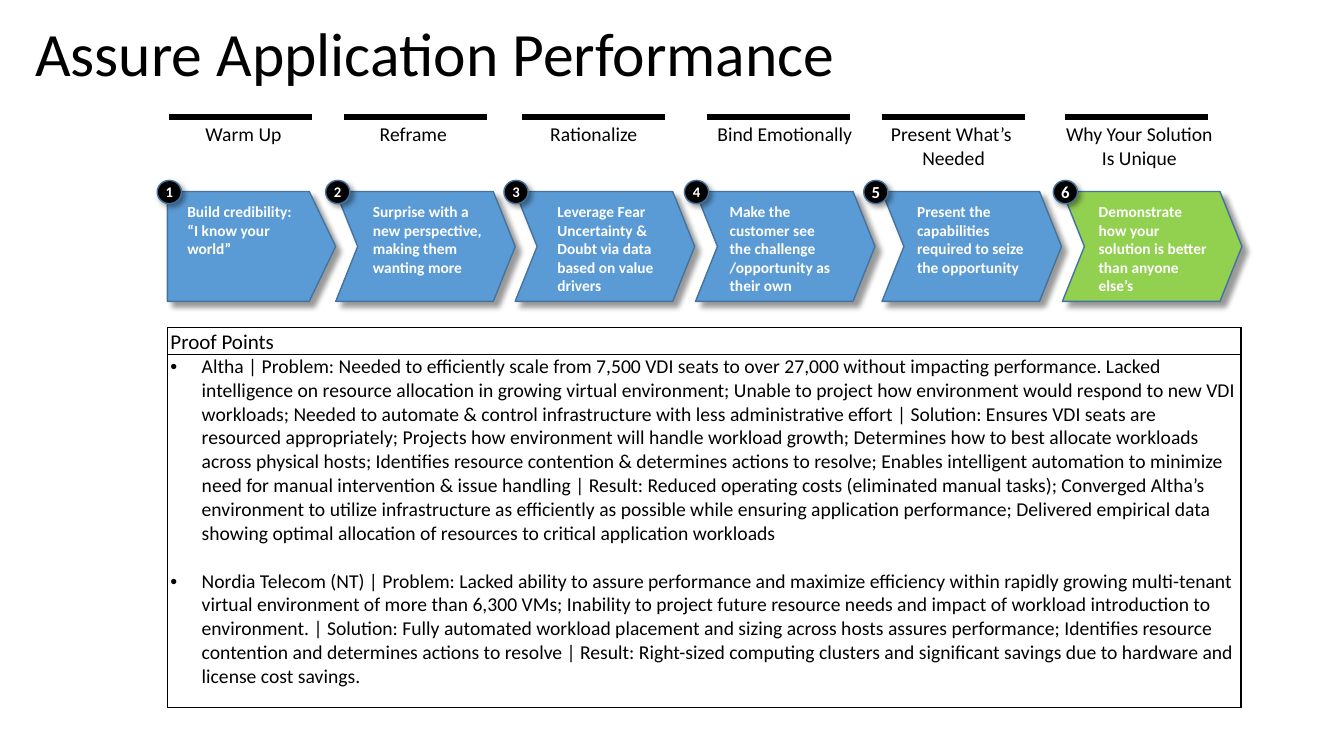
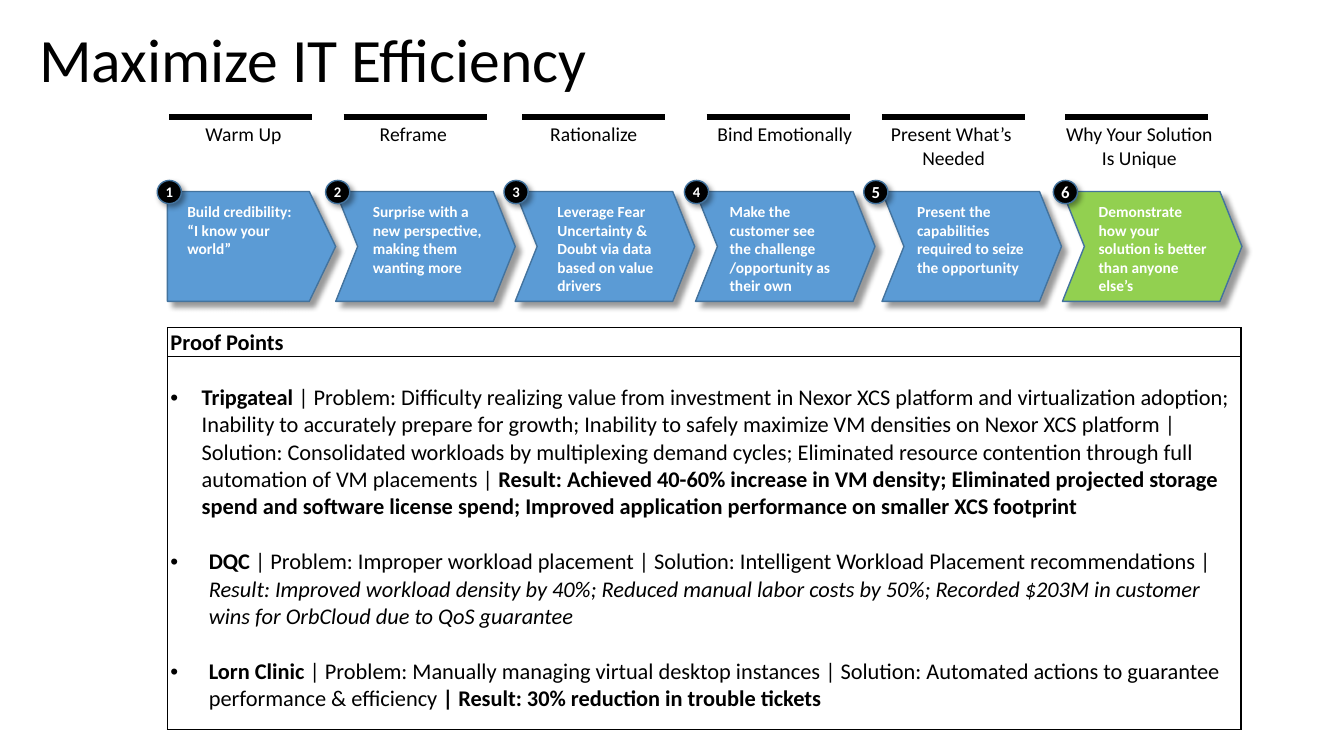
"""Builds two proof-point slides that share a six-stage sales story."""
from collections import namedtuple

from lxml import etree
from pptx import Presentation
from pptx.dml.color import RGBColor
from pptx.enum import shapes, text
from pptx.oxml.ns import qn
from pptx.util import Pt

FONT = "Calibri"
COLORS = {
    "black": "000000",
    "white": "FFFFFF",
    "blue": "5B9BD5",
    "green": "92D050",
    "outline": "43739E",
}
LEFT, ALIGN_CENTER = text.PP_ALIGN.LEFT, text.PP_ALIGN.CENTER
TOP, MIDDLE = text.MSO_ANCHOR.TOP, text.MSO_ANCHOR.MIDDLE
PLATE, CHEVRON = shapes.MSO_SHAPE.PENTAGON, shapes.MSO_SHAPE.CHEVRON
CELL_INSET = 2.2

Stage = namedtuple(
    "Stage",
    "heading heading_x heading_width bar_x arrow_x badge_x badge_size message message_x",
)
Proof = namedtuple("Proof", "indent runs")

STAGES = [
    Stage(["Warm Up"], 139.7, 69.1, 121, 119.6, 112.3, 10.5,
          ["Build credibility:", "“I know your world”"], 126.7),
    Stage(["Reframe"], 264.2, 62.6, 245.5, 239.8, 232.6, 10.5,
          ["Surprise with a new perspective, making them wanting more"], 259.2),
    Stage(["Rationalize"], 385.9, 77.8, 373, 368, 360, 10.5,
          ["Leverage Fear Uncertainty & Doubt via data based on value drivers"], 391),
    Stage(["Bind Emotionally"], 505.4, 112.3, 504.7, 496.8, 488.9, 10.5,
          ["Make the customer see the challenge", "/opportunity as their own"], 514.1),
    Stage(["Present What’s ", "Needed"], 628.6, 105.1, 630, 630, 617, 12,
          ["Present the capabilities required to seize the opportunity"], 648),
    Stage(["Why Your Solution", "Is Unique"], 753.8, 120.2, 761, 758.9, 752.4, 12,
          ["Demonstrate how your solution is better than anyone else’s"], 777.6),
]

PERFORMANCE_PROOFS = [
    Proof(22.3, [
        ("Altha | Problem: Needed to efficiently scale from 7,500 VDI seats to over 27,000 "
         "without impacting performance. Lacked intelligence on resource allocation in growing "
         "virtual environment; Unable to project how environment would respond to new VDI "
         "workloads; Needed to automate & control infrastructure with less administrative "
         "effort ", ""),
        ("| Solution: Ensures VDI seats are resourced appropriately; Projects how environment "
         "will handle workload growth; Determines how to best allocate workloads across "
         "physical hosts; Identifies resource contention & determines actions to resolve; "
         "Enables intelligent automation to minimize need for manual intervention & issue "
         "handling ", ""),
        ("| Result: Reduced operating costs (eliminated manual tasks); Converged Altha’s "
         "environment to utilize infrastructure as efficiently as possible while ensuring "
         "application performance; Delivered empirical data showing optimal allocation of "
         "resources to critical application workloads", "")]),
    Proof(22.3, [
        ("Nordia Telecom (NT) | Problem: Lacked ability to assure performance and maximize "
         "efficiency within rapidly growing multi-tenant virtual environment of more than "
         "6,300 VMs; Inability to project future resource needs and impact of workload "
         "introduction to environment. ", ""),
        ("| Solution: Fully automated workload placement and sizing across hosts assures "
         "performance; Identifies resource contention and determines actions to resolve ", ""),
        ("| Result: Right-sized computing clusters and significant savings due to hardware and "
         "license cost savings.", "")]),
]

EFFICIENCY_PROOFS = [
    Proof(22.3, [
        ("Tripgateal ", "b"),
        ("| Problem: Difficulty realizing value from investment in Nexor XCS platform and "
         "virtualization adoption; Inability to accurately prepare for growth; Inability to "
         "safely maximize VM densities on Nexor XCS platform | Solution: Consolidated workloads "
         "by multiplexing demand cycles; Eliminated resource contention through full automation "
         "of VM placements | ", ""),
        ("Result: Achieved 40-60% increase in VM density; Eliminated projected storage spend "
         "and software license spend; Improved application performance on smaller XCS "
         "footprint", "b")]),
    Proof(27.4, [
        ("DQC", "b"),
        (" | Problem: Improper workload placement | Solution: Intelligent Workload Placement "
         "recommendations | ", ""),
        ("Result: Improved workload density by 40%; Reduced manual labor costs by 50%; Recorded "
         "$203M in customer wins for OrbCloud due to QoS guarantee", "i")]),
    Proof(27.4, [
        ("Lorn Clinic ", "b"),
        ("| Problem: Manually managing virtual desktop instances | Solution: Automated actions "
         "to guarantee performance & efficiency ", ""),
        ("| Result: 30% reduction in trouble tickets", "b")]),
]


def rgb(color):
    """Return the named colour."""
    return RGBColor.from_string(COLORS[color])


def add_run(paragraph, words, size, color="black", style=""):
    """Append one run; style holds b for bold and i for italic."""
    run = paragraph.add_run()
    run.text = words
    run.font.name = FONT
    run.font.size = Pt(size)
    run.font.bold = "b" in style
    run.font.italic = "i" in style
    run.font.color.rgb = rgb(color)


def next_paragraph(frame, index):
    """Return the first paragraph of a frame, or a new one after it."""
    return frame.add_paragraph() if index else frame.paragraphs[0]


def add_label(slide, box, lines, size, color="black", style="", align=LEFT,
              anchor=TOP, wrap=True, line_spacing=None):
    """Add a text box with one paragraph for each line."""
    frame = slide.shapes.add_textbox(*map(Pt, box)).text_frame
    frame.word_wrap = wrap
    frame.vertical_anchor = anchor
    for index, line in enumerate(lines):
        paragraph = next_paragraph(frame, index)
        paragraph.alignment = align
        paragraph.line_spacing = line_spacing
        add_run(paragraph, line, size, color, style)


def add_shadowed(slide, kind, box, fill, distance):
    """Add an outlined shape that casts a soft shadow to the lower right."""
    shape = slide.shapes.add_shape(kind, *map(Pt, box))
    shape.fill.solid()
    shape.fill.fore_color.rgb = rgb(fill)
    shape.line.color.rgb = rgb("outline")
    shape.line.width = Pt(1)
    shape.shadow.inherit = False
    effects = shape._element.spPr.find(qn("a:effectLst"))
    shadow = etree.SubElement(
        effects, qn("a:outerShdw"), blurRad=str(Pt(4)), dist=str(Pt(distance)),
        dir="2700000", algn="tl", rotWithShape="0")
    tint = etree.SubElement(shadow, qn("a:srgbClr"), val=COLORS["black"])
    etree.SubElement(tint, qn("a:alpha"), val="40000")
    return shape


def add_arrow(slide, stage, is_first, is_last):
    """Add the block arrow of a stage."""
    kind, width, notch = (PLATE, 120.2, 0.24) if is_first else (CHEVRON, 128.2, 0.2)
    fill = "green" if is_last else "blue"
    arrow = add_shadowed(slide, kind, (stage.arrow_x, 136.8, width, 78.5), fill, 5)
    arrow.adjustments[0] = notch


def add_badge(slide, stage, number):
    """Add the numbered disc of a stage."""
    box = (stage.badge_x, 128.9, 17.3, 16.6)
    frame = add_shadowed(slide, shapes.MSO_SHAPE.OVAL, box, "black", 3).text_frame
    frame.margin_left = frame.margin_right = frame.margin_top = frame.margin_bottom = 0
    frame.word_wrap = False
    frame.vertical_anchor = MIDDLE
    frame.paragraphs[0].alignment = ALIGN_CENTER
    add_run(frame.paragraphs[0], str(number), stage.badge_size, "white", "b")


def add_bar(slide, x):
    """Add the thick rule above a stage heading."""
    bar = slide.shapes.add_connector(
        shapes.MSO_CONNECTOR.STRAIGHT, Pt(x), Pt(83.8), Pt(x + 102.2), Pt(83.8))
    bar.line.color.rgb = rgb("black")
    bar.line.width = Pt(4.5)
    etree.SubElement(bar._element.spPr, qn("a:effectLst"))


def add_stages(slide):
    """Add the six stages with their bars, headings, arrows and badges."""
    for number, stage in enumerate(STAGES, 1):
        add_bar(slide, stage.bar_x)
        align = ALIGN_CENTER if len(stage.heading) > 1 else LEFT
        add_label(slide, (stage.heading_x, 83.5, stage.heading_width, 24.2 * len(stage.heading)),
                  stage.heading, 14, align=align, wrap=False)
        add_arrow(slide, stage, number == 1, number == len(STAGES))
        add_badge(slide, stage, number)
        add_label(slide, (stage.message_x, 141.1, 92.2, 74.2), stage.message, 11, "white", "b")


def style_cell(cell, anchor, top=0):
    """Give a cell black borders, no fill and narrow margins."""
    cell.fill.background()
    cell.vertical_anchor = anchor
    cell.margin_left = cell.margin_right = Pt(CELL_INSET)
    cell.margin_top, cell.margin_bottom = Pt(top), 0
    properties = cell._tc.get_or_add_tcPr()
    for index, side in enumerate(("lnL", "lnR", "lnT", "lnB")):
        border = etree.Element(qn(f"a:{side}"), w=str(Pt(1)))
        fill = etree.SubElement(border, qn("a:solidFill"))
        etree.SubElement(fill, qn("a:srgbClr"), val=COLORS["black"])
        properties.insert(index, border)


def add_bullet(paragraph, indent):
    """Give a paragraph a hanging bullet."""
    properties = paragraph._p.get_or_add_pPr()
    properties.set("marL", str(Pt(indent)))
    properties.set("indent", str(-Pt(indent)))
    etree.SubElement(properties, qn("a:buFont"), typeface="Arial")
    etree.SubElement(properties, qn("a:buChar"), char="•")


def add_proof_table(slide, proofs, heights, header_size, header_style, size, gap, top):
    """Add the table of proof points below the stages."""
    table = slide.shapes.add_table(
        2, 1, Pt(119.6), Pt(234), Pt(766.8), Pt(sum(heights))).table
    table.first_row = table.horz_banding = False
    for row, height in zip(table.rows, heights):
        row.height = Pt(height)
    header, body = table.cell(0, 0), table.cell(1, 0)
    style_cell(header, MIDDLE)
    style_cell(body, TOP, top)
    title = header.text_frame.paragraphs[0]
    title.line_spacing = 1.07
    add_run(title, "Proof Points", header_size, style=header_style)
    for index, proof in enumerate(proofs):
        paragraph = next_paragraph(body.text_frame, index)
        paragraph.space_before = Pt(gap if index else 0)
        add_bullet(paragraph, proof.indent)
        for words, style in proof.runs:
            add_run(paragraph, words, size, style=style)


def add_story_slide(deck, title, title_box, **proof_options):
    """Add a slide with a title, the stages and a proof table."""
    slide = deck.slides.add_slide(deck.slide_layouts[6])
    add_stages(slide)
    add_label(slide, title_box, [title], 44, anchor=MIDDLE, line_spacing=0.9)
    add_proof_table(slide, **proof_options)


def main():
    """Build and save the deck."""
    deck = Presentation()
    deck.slide_width, deck.slide_height = Pt(960), Pt(540)
    add_story_slide(
        deck, "Assure Application Performance", (18, -11.5, 828, 104.4),
        proofs=PERFORMANCE_PROOFS, heights=(19.4, 252), header_size=15, header_style="",
        size=14, gap=17.1, top=0)
    add_story_slide(
        deck, "Maximize IT Efficiency", (20.9, 5, 828, 79.9),
        proofs=EFFICIENCY_PROOFS, heights=(20.9, 266.4), header_size=16, header_style="b",
        size=16, gap=19.5, top=19.5)
    deck.save("out.pptx")


if __name__ == "__main__":
    main()
